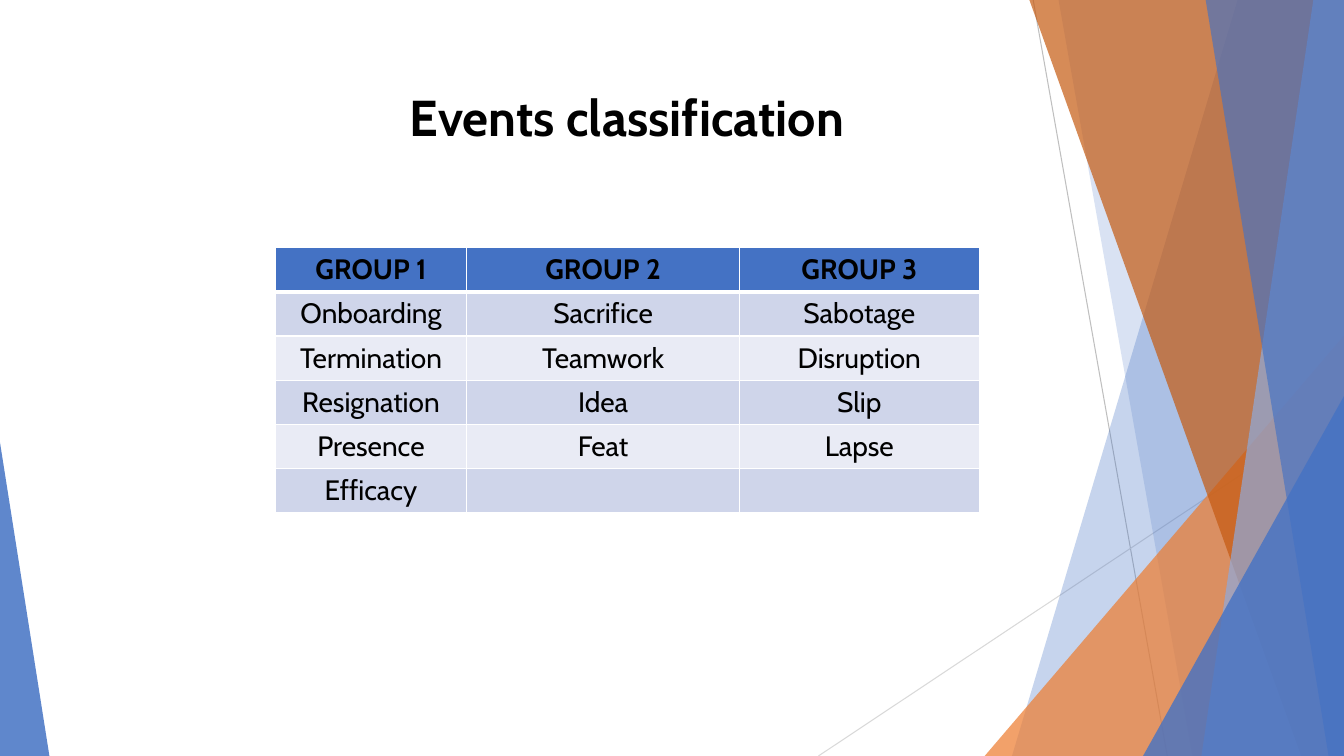
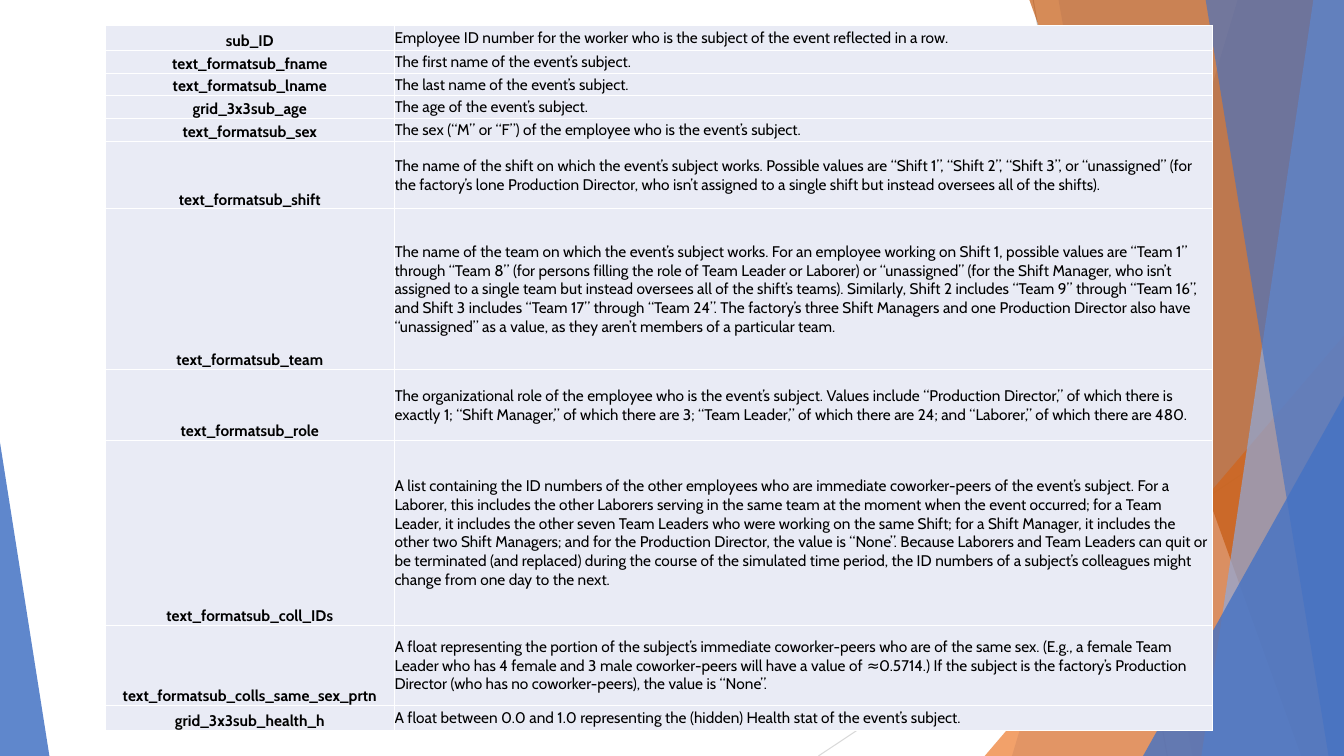
"""Build two slides on event records: a grouping of events and a field dictionary."""
from dataclasses import dataclass

import lxml.etree
import pptx
import pptx.dml.color
import pptx.enum.shapes
import pptx.enum.text
import pptx.oxml.ns
import pptx.presentation
import pptx.shapes.base
import pptx.shapes.group
import pptx.slide
import pptx.table
import pptx.util

Pt = pptx.util.Pt
qn = pptx.oxml.ns.qn
Align = pptx.enum.text.PP_ALIGN
Anchor = pptx.enum.text.MSO_ANCHOR


@dataclass(frozen=True)
class Theme:
    """Slide size in points, colours and type sizes."""

    width: float = 960
    height: float = 540
    font: str = "Cabin"
    title_size: float = 36
    group_size: float = 20
    field_size: float = 11
    text: str = "000000"
    white: str = "FFFFFF"
    blue: str = "4472C4"
    light_blue: str = "8FAADC"
    orange: str = "ED7D31"
    dark_orange: str = "C55A11"
    grey: str = "BFBFBF"
    light_grey: str = "D9D9D9"
    row_dark: str = "CFD5EA"
    row_light: str = "E9EBF5"


THEME = Theme()


@dataclass(frozen=True)
class Ray:
    """A thin line between two points."""

    start: tuple[float, float]
    end: tuple[float, float]
    color: str


@dataclass(frozen=True)
class Band:
    """A full-height band with a slanted left edge, reaching the right edge."""

    top_left: float
    bottom_left: float
    color: str
    opacity: int


@dataclass(frozen=True)
class Wedge:
    """A right triangle standing on the bottom edge."""

    left: float
    top: float
    right: float
    apex: float
    color: str
    opacity: int


@dataclass(frozen=True)
class CellStyle:
    """Look of one table cell."""

    fill: str
    size: float
    bold: bool = False
    align: Align = Align.CENTER
    anchor: Anchor = Anchor.TOP
    inset: bool = True
    top_border: float = 1
    bottom_border: float = 1


@dataclass(frozen=True)
class Grid:
    """Place of a table, with its column widths and row heights."""

    left: float
    top: float
    columns: tuple[float, ...]
    rows: tuple[float, ...]


RAYS = (
    Ray((738, 0), (833.8, 540), THEME.grey),
    Ray((960, 290.2), (584.6, 540), THEME.light_grey),
)
FACETS: tuple[Band | Wedge, ...] = (
    Band(884.2, 722.9, THEME.blue, 30),
    Band(756, 851.8, THEME.blue, 20),
    Wedge(703.4, 239.8, 960, 1, THEME.orange, 72),
    Band(735.1, 929.5, THEME.dark_orange, 70),
    Band(938.2, 858.2, THEME.light_blue, 70),
    Band(861.1, 949, THEME.blue, 65),
    Wedge(816.5, 283, 960, 1, THEME.blue, 80),
    Wedge(0, 316.1, 35.3, 0, THEME.blue, 85),
)

GROUPS = (
    ("GROUP 1", "GROUP 2", "GROUP 3"),
    ("Onboarding", "Sacrifice", "Sabotage"),
    ("Termination", "Teamwork", "Disruption"),
    ("Resignation", "Idea", "Slip"),
    ("Presence", "Feat", "Lapse"),
    ("Efficacy", "", ""),
)
GROUP_GRID = Grid(196.6, 176.8, (136.8, 194.8, 171.2), (31.4,) * len(GROUPS))

FIELDS = (
    ("sub_ID", "Employee ID number for the worker who is the subject of the event reflected in a row."),
    ("text_formatsub_fname", "The first name of the event’s subject."),
    ("text_formatsub_lname", "The last name of the event’s subject."),
    ("grid_3x3sub_age", "The age of the event’s subject."),
    ("text_formatsub_sex", "The sex (“M” or “F”) of the employee who is the event’s subject."),
    ("text_formatsub_shift",
     "The name of the shift on which the event’s subject works. Possible values are “Shift 1”, “Shift 2”, "
     "“Shift 3”, or “unassigned” (for the factory’s lone Production Director, who isn’t assigned to a single "
     "shift but instead oversees all of the shifts)."),
    ("text_formatsub_team",
     "The name of the team on which the event’s subject works. For an employee working on Shift 1, possible "
     "values are “Team 1” through “Team 8” (for persons filling the role of Team Leader or Laborer) or "
     "“unassigned” (for the Shift Manager, who isn’t assigned to a single team but instead oversees all of the "
     "shift’s teams). Similarly, Shift 2 includes “Team 9” through “Team 16”, and Shift 3 includes “Team 17” "
     "through “Team 24”. The factory’s three Shift Managers and one Production Director also have “unassigned” "
     "as a value, as they aren’t members of a particular team."),
    ("text_formatsub_role",
     "The organizational role of the employee who is the event’s subject. Values include “Production Director,” "
     "of which there is exactly 1; “Shift Manager,” of which there are 3; “Team Leader,” of which there are 24; "
     "and “Laborer,” of which there are 480."),
    ("text_formatsub_coll_IDs",
     "A list containing the ID numbers of the other employees who are immediate coworker-peers of the event’s "
     "subject. For a Laborer, this includes the other Laborers serving in the same team at the moment when the "
     "event occurred; for a Team Leader, it includes the other seven Team Leaders who were working on the same "
     "Shift; for a Shift Manager, it includes the other two Shift Managers; and for the Production Director, the "
     "value is “None”. Because Laborers and Team Leaders can quit or be terminated (and replaced) during the "
     "course of the simulated time period, the ID numbers of a subject’s colleagues might change from one day to "
     "the next."),
    ("text_formatsub_colls_same_sex_prtn",
     "A float representing the portion of the subject’s immediate coworker-peers who are of the same sex. (E.g., "
     "a female Team Leader who has 4 female and 3 male coworker-peers will have a value of ≈0.5714.) If the "
     "subject is the factory’s Production Director (who has no coworker-peers), the value is “None”."),
    ("grid_3x3sub_health_h",
     "A float between 0.0 and 1.0 representing the (hidden) Health stat of the event’s subject."),
)
FIELD_GRID = Grid(75.2, 18.2, (206.6, 584.2),
                  (17.9, 16.2, 16.2, 16.2, 16.2, 48.4, 114.8, 50.7, 132.1, 57.2, 17.6))


def rgb(color: str) -> pptx.dml.color.RGBColor:
    """Turn a hex string into a colour."""
    return pptx.dml.color.RGBColor.from_string(color)


def add_run(frame: pptx.text.text.TextFrame, text: str, size: float, bold: bool, align: Align) -> None:
    """Write one formatted run into the first paragraph of a text frame."""
    paragraph = frame.paragraphs[0]
    paragraph.alignment = align
    if text:
        run = paragraph.add_run()
        run.text = text
        run.font.name = THEME.font
        run.font.size = Pt(size)
        run.font.bold = bold
        run.font.color.rgb = rgb(THEME.text)


def add_ray(group: pptx.shapes.group.GroupShape, ray: Ray) -> None:
    """Draw a thin line."""
    connector = group.shapes.add_connector(
        pptx.enum.shapes.MSO_CONNECTOR.STRAIGHT, *(Pt(value) for value in ray.start + ray.end))
    connector.line.color.rgb = rgb(ray.color)
    connector.line.width = Pt(0.75)
    lxml.etree.SubElement(connector.element.find(qn("p:spPr")), qn("a:effectLst"))


def outline_facet(group: pptx.shapes.group.GroupShape, facet: Band | Wedge) -> pptx.shapes.base.BaseShape:
    """Add the unpainted outline of a band or wedge."""
    if isinstance(facet, Wedge):
        wedge = group.shapes.add_shape(
            pptx.enum.shapes.MSO_SHAPE.ISOSCELES_TRIANGLE, Pt(facet.left), Pt(facet.top),
            Pt(facet.right - facet.left), Pt(THEME.height - facet.top))
        wedge.adjustments[0] = facet.apex
        return wedge
    top, bottom, right = Pt(-0.6), Pt(THEME.height), Pt(THEME.width)
    builder = group.shapes.build_freeform(Pt(facet.top_left), top)
    builder.add_line_segments([(right, top), (right, bottom), (Pt(facet.bottom_left), bottom)])
    return builder.convert_to_shape()


def add_facet(group: pptx.shapes.group.GroupShape, facet: Band | Wedge) -> None:
    """Draw a translucent band or wedge."""
    shape = outline_facet(group, facet)
    shape.shadow.inherit = False
    shape.fill.solid()
    shape.fill.fore_color.rgb = rgb(facet.color)
    shape.line.fill.background()
    color = shape.element.find(".//" + qn("a:srgbClr"))
    lxml.etree.SubElement(color, qn("a:alpha"), val=str(facet.opacity * 1000))


def decorate_master(master: pptx.slide.SlideMaster, slide: pptx.slide.Slide) -> None:
    """Draw the facets once and place them at the back of the slide master."""
    group = slide.shapes.add_group_shape()
    for ray in RAYS:
        add_ray(group, ray)
    for facet in FACETS:
        add_facet(group, facet)
    for number, properties in enumerate(group.element.iter(qn("p:cNvPr")), start=100):
        properties.set("id", str(number))
    master.shapes.element.insert(2, group.element)


def style_cell(cell: pptx.table._Cell, text: str, style: CellStyle) -> None:
    """Fill, border and write one table cell."""
    properties = cell._tc.get_or_add_tcPr()
    borders = {"a:lnL": 1, "a:lnR": 1, "a:lnT": style.top_border, "a:lnB": style.bottom_border}
    for tag, width in borders.items():
        line = lxml.etree.SubElement(properties, qn(tag), w=str(Pt(width)))
        solid = lxml.etree.SubElement(line, qn("a:solidFill"))
        lxml.etree.SubElement(solid, qn("a:srgbClr"), val=THEME.white)
    cell.fill.solid()
    cell.fill.fore_color.rgb = rgb(style.fill)
    cell.vertical_anchor = style.anchor
    if not style.inset:
        cell.margin_left = cell.margin_right = cell.margin_top = cell.margin_bottom = 0
    add_run(cell.text_frame, text, style.size, style.bold, style.align)


def add_grid(slide: pptx.slide.Slide, grid: Grid, texts: tuple[tuple[str, ...], ...],
             styles: list[tuple[CellStyle, ...]]) -> None:
    """Add a table whose cells follow the given texts and styles."""
    table = slide.shapes.add_table(
        len(grid.rows), len(grid.columns), Pt(grid.left), Pt(grid.top),
        Pt(sum(grid.columns)), Pt(sum(grid.rows))).table
    for column, width in zip(table.columns, grid.columns):
        column.width = Pt(width)
    for row, height, row_texts, row_styles in zip(table.rows, grid.rows, texts, styles):
        row.height = Pt(height)
        for cell, text, style in zip(row.cells, row_texts, row_styles):
            style_cell(cell, text, style)


def add_title(slide: pptx.slide.Slide, text: str) -> None:
    """Place and write the slide title."""
    title = slide.shapes.title
    title.left, title.top, title.width, title.height = Pt(109.4), Pt(57.6), Pt(676.8), Pt(103.7)
    title.text_frame.vertical_anchor = Anchor.TOP
    title.text_frame.auto_size = pptx.enum.text.MSO_AUTO_SIZE.NONE
    add_run(title.text_frame, text, THEME.title_size, True, Align.CENTER)


def group_style(row: int) -> CellStyle:
    """Give the header style or the banded body style for a row."""
    if row == 0:
        return CellStyle(THEME.blue, THEME.group_size, bold=True, bottom_border=3)
    fill = THEME.row_dark if row % 2 else THEME.row_light
    return CellStyle(fill, THEME.group_size, top_border=3 if row == 1 else 1)


def build() -> None:
    """Build and save the presentation."""
    presentation = pptx.Presentation()
    presentation.slide_width, presentation.slide_height = Pt(THEME.width), Pt(THEME.height)

    groups_slide = presentation.slides.add_slide(presentation.slide_layouts.get_by_name("Title Only"))
    decorate_master(presentation.slide_master, groups_slide)
    add_title(groups_slide, "Events classification")
    add_grid(groups_slide, GROUP_GRID, GROUPS, [(group_style(row),) * 3 for row in range(len(GROUPS))])

    fields_slide = presentation.slides.add_slide(presentation.slide_layouts.get_by_name("Blank"))
    name = CellStyle(THEME.row_light, THEME.field_size, bold=True, anchor=Anchor.BOTTOM, inset=False)
    meaning = CellStyle(THEME.row_light, THEME.field_size, align=Align.LEFT, anchor=Anchor.MIDDLE, inset=False)
    add_grid(fields_slide, FIELD_GRID, FIELDS, [(name, meaning)] * len(FIELDS))

    presentation.save("out.pptx")


build()
